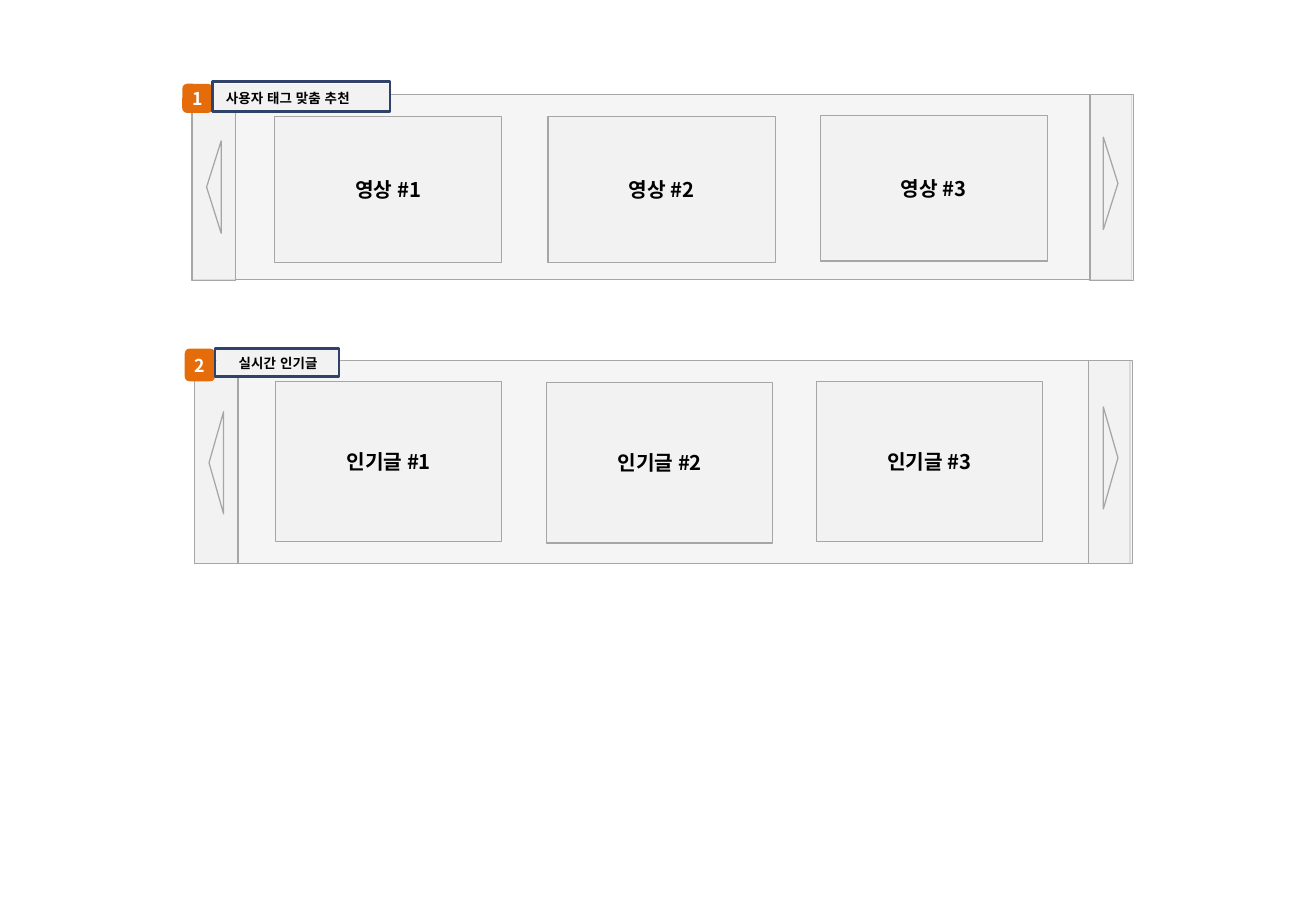
import dataclasses

import lxml.etree
import pptx
import pptx.dml.color
import pptx.enum.shapes
import pptx.enum.text
import pptx.oxml.ns
import pptx.util

PX = 9144  # EMU per px, 100 px to the inch
SHAPE = pptx.enum.shapes.MSO_SHAPE
ALIGN = pptx.enum.text.PP_ALIGN
ANCHOR = pptx.enum.text.MSO_ANCHOR
qn = pptx.oxml.ns.qn

SIDE_W = 36
ARROW_W = 12
BADGE_W = 25


@dataclasses.dataclass(frozen=True)
class Theme:
    panel: str = "F2F2F2"
    outline: str = "A6A6A6"
    badge: str = "E46C0A"
    frame: str = "30416A"
    text: str = "000000"
    badge_text: str = "FFFFFF"
    font: str = "Noto Sans CJK KR"
    label_font: str = "Arial"
    card_size: float = 12
    badge_size: float = 10.5
    label_size: float = 8
    outline_width: float = 0.75
    frame_width: float = 1.5
    panel_alpha: int = 70


THEME = Theme()


@dataclasses.dataclass(frozen=True)
class Carousel:
    """One row of cards; boxes are (left, top, width, height) in px."""
    number: int
    title: str
    title_align: int
    item: str
    panel: tuple
    side_h: int
    right_x: int
    card_size: tuple
    cards: tuple
    arrow_h: int
    left_arrow: tuple
    right_arrow: tuple
    badge: tuple
    label: tuple
    frame: tuple


CAROUSELS = (
    Carousel(
        number=1, title="사용자 태그 맞춤 추천", title_align=ALIGN.LEFT, item="영상",
        panel=(158, 78, 773, 152), side_h=153, right_x=897,
        card_size=(187, 120), cards=((226, 96), (451, 96), (675, 95)),
        arrow_h=76, left_arrow=(176, 154), right_arrow=(914, 151),
        badge=(150, 69, BADGE_W, 24), label=(176, 69, 146, 23),
        frame=(175, 67, 146, 25)),
    Carousel(
        number=2, title="실시간 인기글", title_align=ALIGN.CENTER, item="인기글",
        panel=(160, 297, 770, 167), side_h=167, right_x=896,
        card_size=(186, 132), cards=((227, 314), (450, 315), (672, 314)),
        arrow_h=84, left_arrow=(178, 381), right_arrow=(914, 377),
        badge=(152, 287, BADGE_W, 27), label=(178, 287, 102, 23),
        frame=(177, 287, 102, 23)),
)


def rgb(color):
    return pptx.dml.color.RGBColor.from_string(color)


def add_box(shapes, box, kind=SHAPE.RECTANGLE, fill=None, line=None, width=0):
    sp = shapes.add_shape(kind, *(v * PX for v in box))
    sp.shadow.inherit = False
    if fill:
        sp.fill.solid()
        sp.fill.fore_color.rgb = rgb(fill)
    else:
        sp.fill.background()
    if line:
        sp.line.color.rgb = rgb(line)
        sp.line.width = pptx.util.Pt(width)
    else:
        sp.line.fill.background()
    return sp


def add_panel(shapes, box, kind=SHAPE.RECTANGLE):
    """Add a translucent grey shape with a thin outline."""
    sp = add_box(shapes, box, kind, THEME.panel, THEME.outline, THEME.outline_width)
    clr = sp._element.spPr.find(qn("a:solidFill"))[0]
    alpha = lxml.etree.SubElement(clr, qn("a:alpha"))
    alpha.set("val", str(THEME.panel_alpha * 1000))
    return sp


def set_text(sp, text, size, color=THEME.text, font=THEME.font,
             align=ALIGN.CENTER, anchor=ANCHOR.MIDDLE):
    tf = sp.text_frame
    tf.word_wrap = True
    tf.vertical_anchor = anchor
    p = tf.paragraphs[0]
    p.text = text
    p.alignment = align
    p.font.size = pptx.util.Pt(size)
    p.font.bold = True
    p.font.color.rgb = rgb(color)
    p.font.name = font
    ea = lxml.etree.SubElement(p._p.pPr.find(qn("a:defRPr")), qn("a:ea"))
    ea.set("typeface", font)


def add_arrow(shapes, center, length, rotation):
    x, y = center
    box = (x - length // 2, y - ARROW_W // 2, length, ARROW_W)
    add_panel(shapes, box, SHAPE.ISOSCELES_TRIANGLE).rotation = rotation


def add_badge(shapes, box, number):
    sp = add_box(shapes, box, SHAPE.ROUNDED_RECTANGLE, THEME.badge)
    sp.text_frame.margin_left = sp.text_frame.margin_right = 0
    set_text(sp, str(number), THEME.badge_size, THEME.badge_text)


def add_label(shapes, box, title, align):
    sp = add_box(shapes, box, fill=THEME.panel)
    set_text(sp, title, THEME.label_size, font=THEME.label_font,
             align=align, anchor=ANCHOR.TOP)
    sp.text_frame.auto_size = pptx.enum.text.MSO_AUTO_SIZE.SHAPE_TO_FIT_TEXT


def add_carousel(s, row):
    shapes = s.shapes.add_group_shape().shapes
    left, top = row.panel[:2]
    add_panel(shapes, row.panel)
    for n, position in enumerate(row.cards, 1):
        card = add_panel(shapes, position + row.card_size)
        set_text(card, f"{row.item} #{n}", THEME.card_size)
    for x, center, rotation in ((row.right_x, row.right_arrow, 90),
                                (left, row.left_arrow, 270)):
        add_panel(shapes, (x, top, SIDE_W, row.side_h))
        add_arrow(shapes, center, row.arrow_h, rotation)
    add_badge(shapes, row.badge, row.number)
    add_label(shapes, row.label, row.title, row.title_align)


def main():
    prs = pptx.Presentation()
    prs.slide_width, prs.slide_height = 1083 * PX, 750 * PX
    s = prs.slides.add_slide(prs.slide_layouts[6])
    for row in CAROUSELS:
        add_carousel(s, row)
    for row in CAROUSELS:
        add_box(s.shapes, row.frame, line=THEME.frame, width=THEME.frame_width)
    prs.save("out.pptx")


if __name__ == "__main__":
    main()
